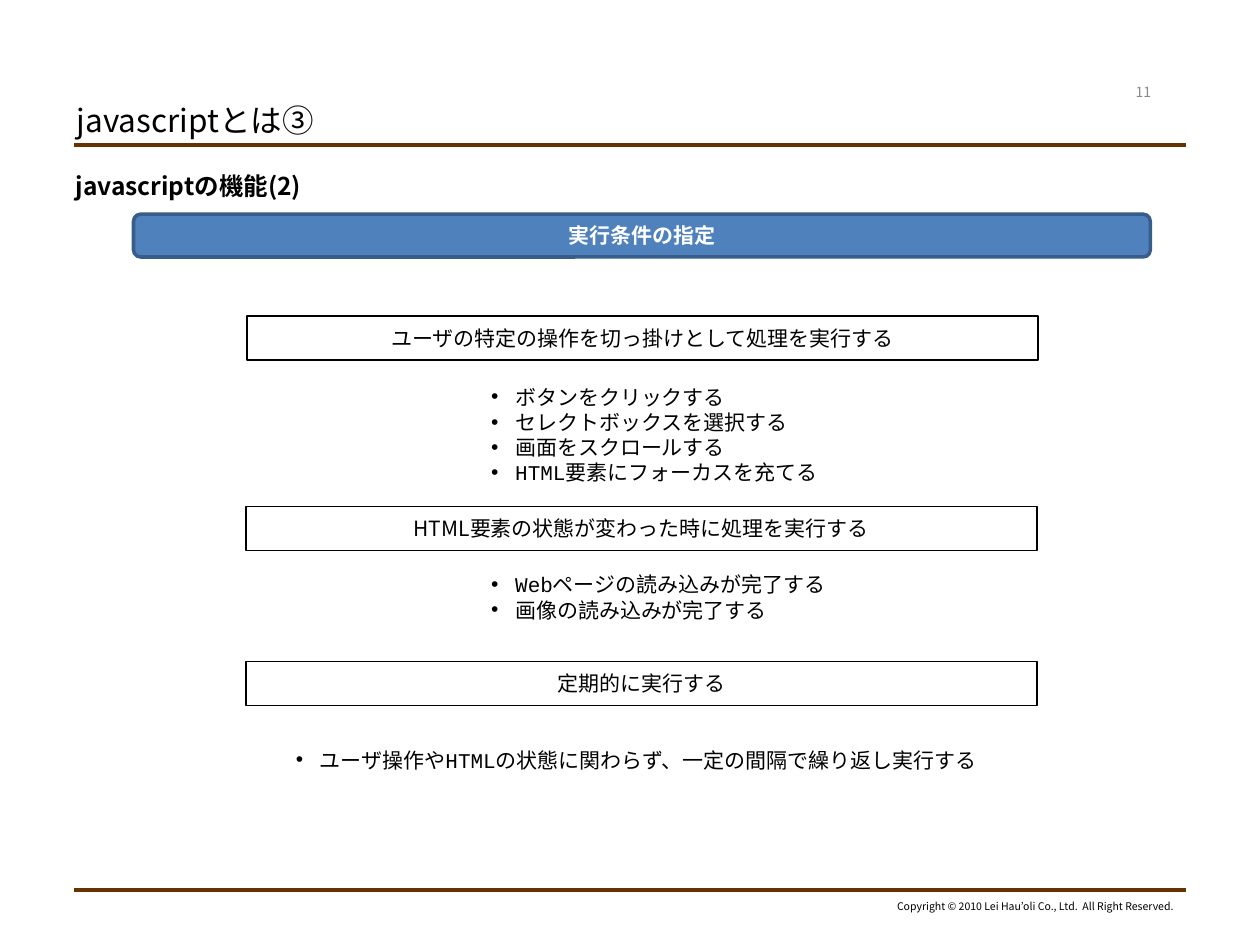
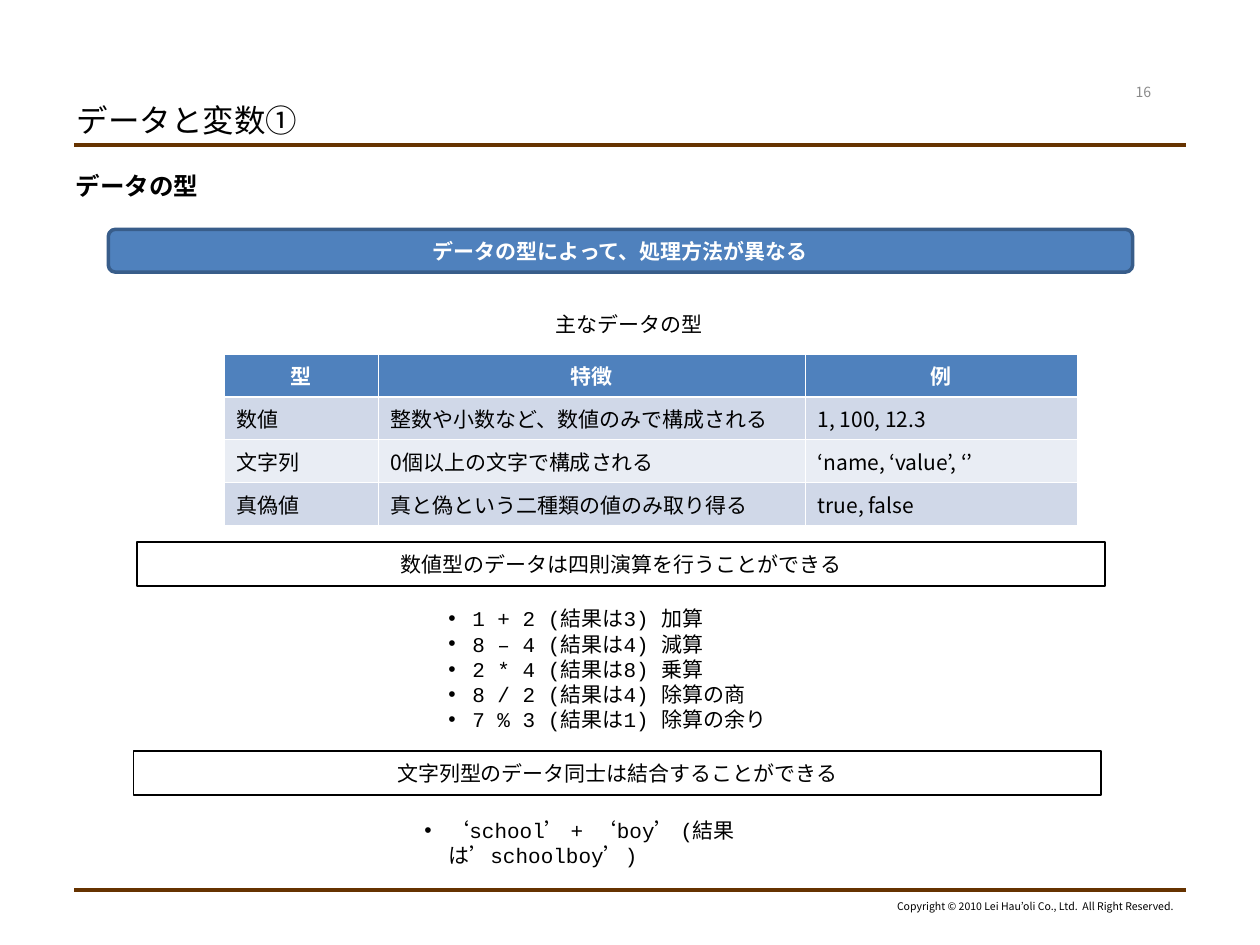
from pptx import Presentation
from pptx.dml.color import RGBColor
from pptx.enum.shapes import MSO_CONNECTOR, MSO_SHAPE
from pptx.enum.text import MSO_ANCHOR, PP_ALIGN
from pptx.oxml.ns import qn
from pptx.util import Inches, Pt
from lxml.etree import SubElement

SANS = "Noto Sans CJK JP"
MONO = "Courier New"
BLACK, WHITE, GREY = "000000", "FFFFFF", "898989"
BROWN, BLUE, NAVY = "663300", "4F81BD", "385D8A"
PALE, LIGHT = "D0D8E8", "E9EDF4"
NOTICE = "Copyright © 2010 Lei Hau’oli Co., Ltd.  All Right Reserved."


def paint(target, color):
    if hasattr(target, "solid"):
        target.solid()
        target = target.fore_color
    else:
        target = target.color
    target.rgb = RGBColor.from_string(color)


def place(shape, left, top, width, height):
    shape.left, shape.top = Inches(left), Inches(top)
    shape.width, shape.height = Inches(width), Inches(height)


def style(para, size, color=BLACK, font=SANS, bold=False, align=PP_ALIGN.LEFT):
    para.alignment = align
    para.font.size = Pt(size)
    para.font.name = font
    para.font.bold = bold
    paint(para.font, color)


def add_dot(para):
    props = para._p.get_or_add_pPr()
    props.set("marL", str(Inches(0.19)))
    props.set("indent", str(-Inches(0.19)))
    tint = SubElement(props, qn("a:buClr"))
    SubElement(tint, qn("a:srgbClr"), val=BLACK)
    SubElement(props, qn("a:buFont"), typeface="Arial")
    SubElement(props, qn("a:buChar"), char="•")


def add_text(slide, box, text, size, wrap=False, **look):
    shape = slide.shapes.add_textbox(*map(Inches, box))
    frame = shape.text_frame
    frame.word_wrap = wrap
    frame.text = text
    style(frame.paragraphs[0], size, **look)
    return frame


def add_list(slide, box, items):
    shape = slide.shapes.add_textbox(*map(Inches, box))
    frame = shape.text_frame
    frame.word_wrap = True
    frame.text = "\n".join(items)
    for para in frame.paragraphs:
        add_dot(para)
        style(para, 12, font=MONO)


def add_box(slide, kind, box, text, color, edge, bold=False):
    shape = slide.shapes.add_shape(kind, *map(Inches, box))
    shape.shadow.inherit = False
    paint(shape.line, edge)
    frame = shape.text_frame
    frame.word_wrap = True
    frame.text = text
    style(frame.paragraphs[0], 12, color, bold=bold, align=PP_ALIGN.CENTER)
    return shape


def add_banner(slide, left, top, width, text):
    shape = add_box(slide, MSO_SHAPE.ROUNDED_RECTANGLE, (left, top, width, 0.34),
                    text, WHITE, NAVY, True)
    paint(shape.fill, BLUE)
    shape.line.width = Pt(2)


def add_point(slide, left, top, width, text):
    shape = add_box(slide, MSO_SHAPE.RECTANGLE, (left, top, width, 0.35),
                    text, BLACK, BLACK)
    shape.fill.background()
    shape.line.width = Pt(1)


def add_rule(slide, top):
    line = slide.shapes.add_connector(
        MSO_CONNECTOR.STRAIGHT, Inches(0.59), Inches(top), Inches(9.41), Inches(top))
    paint(line.line, BROWN)
    line.line.width = Pt(2.25)
    SubElement(line._element.spPr, qn("a:effectLst"))


def add_page(deck, title, topic, number):
    slide = deck.slides.add_slide(deck.slide_layouts[1])
    head, body = slide.placeholders
    place(head, 0.51, 0.76, 5.68, 0.39)
    head.text_frame.text = title
    head.text_frame.vertical_anchor = MSO_ANCHOR.MIDDLE
    style(head.text_frame.paragraphs[0], 18)
    place(body, 0.5, 1.31, 9, 5.59)
    body.text_frame.text = topic
    para = body.text_frame.paragraphs[0]
    props = para._p.get_or_add_pPr()
    props.set("marL", "0")
    props.set("indent", "0")
    SubElement(props, qn("a:buNone"))
    para.space_before = Pt(0)
    style(para, 14, bold=True)
    for top in (1.15, 7.06):
        add_rule(slide, top)
    add_text(slide, (6.99, 7.09, 2.42, 0.2), NOTICE, 6, align=PP_ALIGN.RIGHT)
    frame = add_text(slide, (8.78, 0.61, 0.59, 0.24), number, 8, True,
                     color=GREY, align=PP_ALIGN.CENTER)
    frame.vertical_anchor = MSO_ANCHOR.MIDDLE
    return slide


def add_edges(cell, widths):
    props = cell._tc.get_or_add_tcPr()
    for index, (side, width) in enumerate(widths.items()):
        edge = props.makeelement(qn(f"a:ln{side}"), {"w": str(Pt(width))})
        fill = SubElement(edge, qn("a:solidFill"))
        SubElement(fill, qn("a:srgbClr"), val=WHITE)
        props.insert(index, edge)


def add_grid(slide, left, top, widths, height, rows):
    table = slide.shapes.add_table(
        len(rows), len(widths), Inches(left), Inches(top),
        Inches(sum(widths)), Inches(height * len(rows))).table
    for column, width in zip(table.columns, widths):
        column.width = Inches(width)
    for r, row in enumerate(rows):
        first = r == 0
        for c, text in enumerate(row):
            cell = table.cell(r, c)
            cell.text = text
            paint(cell.fill, BLUE if first else PALE if r % 2 else LIGHT)
            add_edges(cell, {"L": 0.45, "R": 0.45, "T": 1.47 if r == 1 else 0.45,
                             "B": 1.47 if first else 0.45})
            style(cell.text_frame.paragraphs[0], 12, WHITE if first else BLACK,
                  bold=first, align=PP_ALIGN.CENTER if first else PP_ALIGN.LEFT)


def add_events(deck):
    slide = add_page(deck, "javascriptとは③", "javascriptの機能(2)", "11")
    add_banner(slide, 1.06, 1.7, 8.07, "実行条件の指定")
    add_point(slide, 1.96, 2.51, 6.28, "ユーザの特定の操作を切っ掛けとして処理を実行する")
    add_point(slide, 1.95, 4.02, 6.28, "HTML要素の状態が変わった時に処理を実行する")
    add_point(slide, 1.95, 5.25, 6.28, "定期的に実行する")
    add_list(slide, (3.8, 3, 2.95, 0.9), [
        "ボタンをクリックする", "セレクトボックスを選択する",
        "画面をスクロールする", "HTML要素にフォーカスを充てる"])
    add_list(slide, (3.8, 4.49, 2.95, 0.5), [
        "Webページの読み込みが完了する", "画像の読み込みが完了する"])
    add_list(slide, (2.25, 5.88, 5.8, 0.3), [
        "ユーザ操作やHTMLの状態に関わらず、一定の間隔で繰り返し実行する"])


def add_types(deck):
    slide = add_page(deck, "データと変数①", "データの型", "16")
    add_grid(slide, 1.78, 2.81, (1.22, 3.39, 2.16), 0.34, [
        ("型", "特徴", "例"),
        ("数値", "整数や小数など、数値のみで構成される", "1, 100, 12.3"),
        ("文字列", "0個以上の文字で構成される", "‘name, ‘value’, ‘’"),
        ("真偽値", "真と偽という二種類の値のみ取り得る", "true, false")])
    add_text(slide, (4.31, 2.42, 1.45, 0.3), "主なデータの型", 12, True, font=MONO)
    add_banner(slide, 0.86, 1.82, 8.13, "データの型によって、処理方法が異なる")
    add_point(slide, 1.09, 4.3, 7.68, "数値型のデータは四則演算を行うことができる")
    add_point(slide, 1.06, 5.96, 7.68, "文字列型のデータ同士は結合することができる")
    add_list(slide, (3.46, 4.76, 2.95, 1.1), [
        "1 + 2 (結果は3) 加算", "8 – 4 (結果は4) 減算", "2 * 4 (結果は8) 乗算",
        "8 / 2 (結果は4) 除算の商", "7 % 3 (結果は1) 除算の余り"])
    add_list(slide, (3.27, 6.44, 3.78, 0.3), ["‘school’ + ‘boy’ (結果は’schoolboy’)"])


def main():
    deck = Presentation()
    deck.slide_width, deck.slide_height = Inches(10), Inches(7.5)
    add_events(deck)
    add_types(deck)
    deck.save("out.pptx")


if __name__ == "__main__":
    main()
